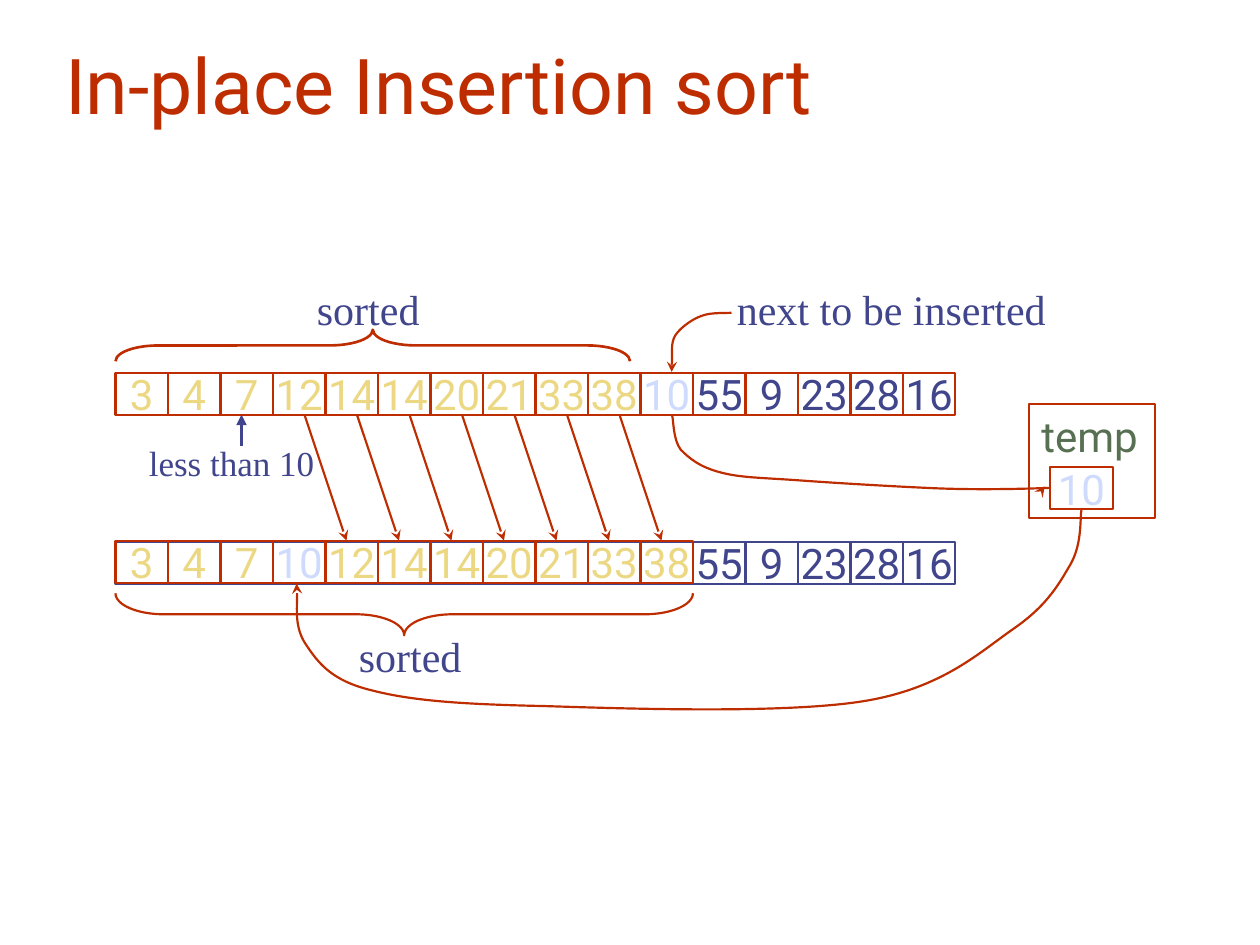
from lxml.etree import SubElement
from pptx import Presentation
from pptx.dml.color import RGBColor
from pptx.enum.shapes import MSO_CONNECTOR, MSO_SHAPE
from pptx.enum.text import MSO_ANCHOR, MSO_AUTO_SIZE, PP_ALIGN
from pptx.oxml.ns import qn
from pptx.util import Pt

RED, BLUE, YELLOW, PALE, GREEN = "BE2D00", "40458C", "ECD882", "CFDBFD", "577052"
SANS, SERIF = "Roboto", "Times New Roman"

TITLE = "In-place Insertion sort"
KEY = "10"
SORTED_BEFORE = ["3", "4", "7", "12", "14", "14", "20", "21", "33", "38"]
SORTED_AFTER = ["3", "4", "7", KEY, "12", "14", "14", "20", "21", "33", "38"]
UNSORTED = ["55", "9", "23", "28", "16"]
FIRST_SHIFTED = SORTED_AFTER.index(KEY)

# text, left, top, width, height, size
LABELS = [
    ("sorted", 174, 158.5, 90, 36, 24),
    ("next to be inserted", 414, 158.5, 216, 36, 24),
    ("sorted", 198, 357, 102, 36, 24),
    ("less than 10", 78, 249, 114, 32, 20),
]
# left, top, thickness, length, rotation, curve, line width
BRACES = [
    (204, 50.4, 18, 294, 90, 1.36, 1.5),
    (219, 186, 24, 330, 270, 1.15, 1.25),
]
# start point, then three points for each Bézier segment
CURVES = [
    [(418, 178.7), (415.5, 179), (406.5, 178.4), (401.5, 180.3),
     (396, 182), (389, 187), (386, 191.5),
     (383, 196), (384.3, 203), (384, 206.6),
     (383.8, 210), (383.8, 211.5), (383.8, 212.5)],
    [(384, 237), (385, 240.5), (384.5, 251), (389, 257),
     (394, 262), (400, 267), (412, 270),
     (423, 273), (436, 273), (456.5, 274.5),
     (477, 276), (511, 278), (534, 279),
     (557, 280), (583, 279.4), (594, 279),
     (604.8, 278.6), (596, 278.2), (597, 278)],
    [(618, 291), (617, 296), (618.5, 310), (612, 322),
     (605.5, 333), (599, 345.5), (579.6, 359),
     (560, 372.5), (539, 393), (494.6, 400.5),
     (450, 408), (358.5, 405), (311.8, 403.5),
     (264, 402.5), (235.5, 400.5), (212.4, 394.5),
     (189.5, 389), (182, 379), (175, 368.6),
     (168, 358.5), (170.5, 341), (169.5, 333.5)],
]

ROW_LEFT, CELL_WIDTH, CELL_HEIGHT = 66, 30, 24
TOP_ROW, BOTTOM_ROW, BOTTOM_FRAME = 213, 309, 309.75


def color(hex_string):
    return RGBColor.from_string(hex_string)


def points(*lengths):
    return [Pt(length) for length in lengths]


def style_line(shape, line_color, width, head=None):
    shape.line.color.rgb = color(line_color)
    shape.line.width = Pt(width)
    if head:
        SubElement(shape.line._get_or_add_ln(), qn("a:tailEnd"), type=head)


def add_outline(kind, left, top, width, height, line_color=RED, line_width=1.25):
    shape = slide.shapes.add_shape(kind, *points(left, top, width, height))
    shape.shadow.inherit = False
    shape.fill.background()
    style_line(shape, line_color, line_width)
    return shape


def write(box, text, size, face, font_color, align=PP_ALIGN.LEFT, **frame_format):
    frame = box.text_frame
    for name, value in frame_format.items():
        setattr(frame, name, value)
    para = frame.paragraphs[0]
    para.alignment = align
    span = para.add_run()
    span.text = text
    for name, value in {"size": Pt(size), "name": face}.items():
        setattr(span.font, name, value)
    span.font.color.rgb = color(font_color)


def add_cell(left, top, text, font_color, line_color=RED, width=CELL_WIDTH):
    cell = add_outline(MSO_SHAPE.RECTANGLE, left, top, width, CELL_HEIGHT, line_color)
    if text:
        write(cell, text, 24, SANS, font_color, PP_ALIGN.CENTER,
              vertical_anchor=MSO_ANCHOR.MIDDLE, word_wrap=False)


def add_row(top, values, line_color=RED):
    for index, text in enumerate(values):
        if text == KEY:
            font_color = PALE
        else:
            font_color = BLUE if text in UNSORTED else YELLOW
        add_cell(ROW_LEFT + index * CELL_WIDTH, top, text, font_color, line_color)


def add_arrow(start, end, line_color=RED, width=1.25, head="stealth"):
    arrow = slide.shapes.add_connector(MSO_CONNECTOR.STRAIGHT, *points(*start, *end))
    style_line(arrow, line_color, width, head)
    SubElement(arrow._element.spPr, qn("a:effectLst"))


def add_curve(curve):
    """Draw a freeform arrow, joining each three line segments into one Bézier."""
    start, *controls = curve
    builder = slide.shapes.build_freeform(*points(*start))
    builder.add_line_segments([points(*point) for point in controls], close=False)
    shape = builder.convert_to_shape()
    shape.shadow.inherit = False
    shape.fill.background()
    style_line(shape, RED, 1.25, "stealth")
    segments = list(shape._element.iter(qn("a:lnTo")))
    for first in range(0, len(segments), 3):
        bezier = SubElement(segments[first].getparent(), qn("a:cubicBezTo"))
        for segment in segments[first:first + 3]:
            bezier.append(segment[0])
            segment.getparent().remove(segment)


deck = Presentation()
deck.slide_width, deck.slide_height = points(720, 540)
slide = deck.slides.add_slide(deck.slide_layouts[5])

title = slide.shapes.title
title.left, title.top, title.width, title.height = points(30, 0, 612, 78)
write(title, TITLE, 44, SANS, RED, vertical_anchor=MSO_ANCHOR.BOTTOM,
      word_wrap=True, auto_size=MSO_AUTO_SIZE.NONE)

add_row(TOP_ROW, SORTED_BEFORE + [KEY] + UNSORTED)
add_row(BOTTOM_FRAME, [""] * len(SORTED_AFTER) + UNSORTED, BLUE)
add_row(BOTTOM_ROW, SORTED_AFTER)

for index in range(FIRST_SHIFTED, len(SORTED_BEFORE)):
    cell_left = ROW_LEFT + index * CELL_WIDTH
    add_arrow((cell_left + 18, TOP_ROW + CELL_HEIGHT),
              (cell_left + CELL_WIDTH + 12, BOTTOM_ROW))
add_arrow((138, 255), (138, 237), BLUE, 1.75, "triangle")

add_cell(600, 267, KEY, PALE, width=36)
temp = add_outline(MSO_SHAPE.RECTANGLE, 588, 231, 72, 65)
write(temp, "temp", 24, SANS, GREEN, vertical_anchor=MSO_ANCHOR.TOP)

for left, top, thickness, length, rotation, bend, line_width in BRACES:
    brace = add_outline(MSO_SHAPE.LEFT_BRACE, left, top, thickness, length,
                        line_width=line_width)
    brace.rotation = rotation
    brace.adjustments[0] = bend

for curve in CURVES:
    add_curve(curve)

for text, left, top, width, height, size in LABELS:
    label = slide.shapes.add_textbox(*points(left, top, width, height))
    write(label, text, size, SERIF, BLUE, word_wrap=True)

deck.save("out.pptx")
